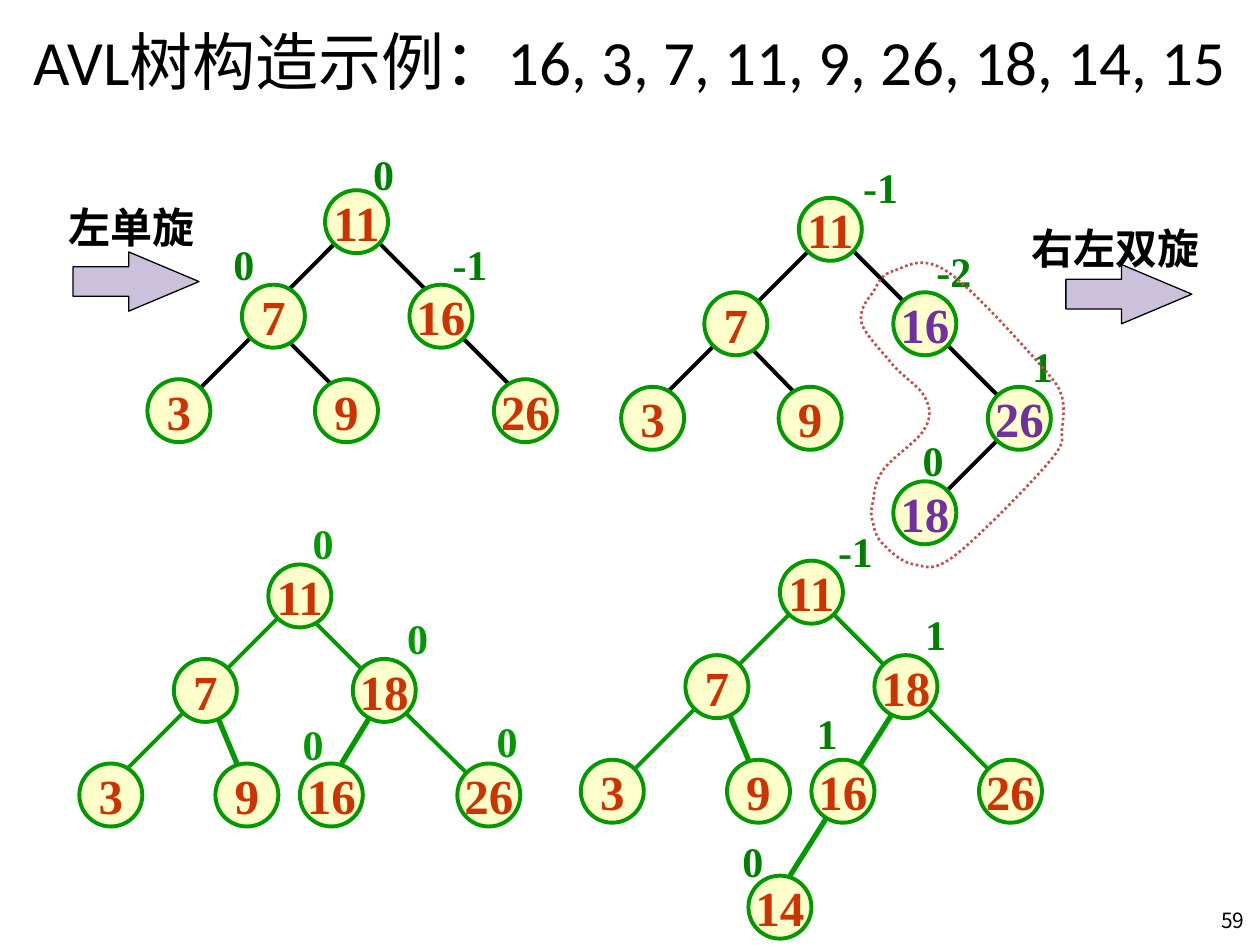
from lxml.etree import SubElement
from pptx import Presentation
from pptx.dml.color import RGBColor as Rgb
from pptx.enum.dml import MSO_LINE as Dash
from pptx.enum.shapes import MSO_CONNECTOR as Conn, MSO_SHAPE as Kind
from pptx.enum.text import MSO_ANCHOR as Anchor, PP_ALIGN as Align
from pptx.oxml.ns import qn
from pptx.util import Pt

PX = 9144  # 100 px to the inch
NODE = 50
SERIF = "Times New Roman"
HEX = {"black": "000000", "green": "009900", "dark": "008000", "cream": "FFFFCC",
       "red": "CC3300", "purple": "7030A0", "lilac": "CCC1DA", "brick": "C0504D"}
COLOR = {name: Rgb.from_string(code) for name, code in HEX.items()}

deck = Presentation()
deck.slide_width, deck.slide_height = 1000 * PX, 750 * PX
slide = deck.slides.add_slide(deck.slide_layouts[6])
shapes = slide.shapes


def write(text, box=None, shape=None, home=shapes, size=24, font=SERIF,
          color="black", bold=True, anchor=Anchor.TOP):
    """Put one centred line into the given shape, or into a new text box."""
    if shape is None:
        shape = home.add_textbox(*[n * PX for n in box])
    frame = shape.text_frame
    frame.word_wrap = False
    frame.vertical_anchor = anchor
    para = frame.paragraphs[0]
    para.alignment = Align.CENTER
    run = para.add_run()
    run.text = text
    run.font.size, run.font.name, run.font.bold = Pt(size), font, bold
    run.font.color.rgb = COLOR[color]


def draw(kind, box, fill, line, width, home=shapes):
    shape = home.add_shape(kind, *[n * PX for n in box])
    shape.shadow.inherit = False
    shape.fill.solid()
    shape.fill.fore_color.rgb = COLOR[fill]
    shape.line.color.rgb = COLOR[line]
    shape.line.width = Pt(width)
    return shape


write("AVL树构造示例：16, 3, 7, 11, 9, 26, 18, 14, 15", (0, -3, 1000, 102),
      size=36, font="Calibri", bold=False, anchor=Anchor.MIDDLE)
write("59", (957, 710, 43, 40), size=12, font="Noto Sans CJK JP", bold=False,
      anchor=Anchor.MIDDLE)
write("右左双旋", (808, 172, 154, 50))
write("左单旋", (44, 155, 121, 50))

# edges: x1, y1, x2, y2, points; nodes and tags: text, left, top
trees = [
    {"line": "green", "tag": "green",
     "edges": [(171, 565, 188, 606, 3), (296, 565, 271, 606, 3),
               (321, 565, 380, 623, 2.25), (246, 490, 296, 540, 2.25),
               (146, 565, 96, 615, 2.25), (221, 490, 180, 531, 2.25)],
     "nodes": [("11", 213, 448), ("7", 138, 523), ("18", 280, 523),
               ("3", 63, 606), ("9", 171, 606), ("16", 238, 606),
               ("26", 363, 606)],
     "tags": [("0", 238, 406), ("0", 313, 481), ("0", 230, 565),
              ("0", 384, 563)]},
    {"line": "black", "tag": "dark",
     "edges": [(292, 184, 342, 234, 2.25), (358, 259, 408, 309, 2.25),
               (200, 267, 158, 309, 2.25), (225, 267, 275, 317, 2.25),
               (267, 192, 225, 234, 2.25)],
     "nodes": [("11", 258, 151), ("7", 192, 226), ("16", 325, 226),
               ("3", 117, 301), ("9", 250, 301), ("26", 392, 301)],
     "tags": [("0", 286, 113), ("0", 175, 184), ("-1", 349, 184)]},
    {"line": "green", "tag": "dark",
     "edges": [(577, 562, 594, 603, 3), (711, 562, 627, 695, 3),
               (661, 487, 719, 545, 2.25), (627, 487, 577, 537, 2.25),
               (561, 553, 486, 628, 2.25), (736, 562, 794, 620, 2.25)],
     "nodes": [("11", 619, 445), ("7", 544, 520), ("18", 694, 520),
               ("3", 461, 603), ("9", 577, 603), ("16", 644, 603),
               ("26", 777, 603), ("14", 594, 695)],
     "tags": [("-1", 655, 412), ("1", 724, 478), ("1", 638, 557),
              ("0", 579, 658)]},
    {"line": "black", "tag": "dark", "turned": ("16", "26", "18"),
     "edges": [(593, 273, 634, 315, 2.25), (576, 265, 526, 315, 2.25),
               (793, 348, 751, 390, 2.25), (676, 198, 718, 240, 2.25),
               (643, 198, 601, 240, 2.25), (751, 273, 793, 315, 2.25)],
     "nodes": [("11", 634, 157), ("7", 559, 232), ("16", 709, 232),
               ("3", 493, 307), ("9", 618, 307), ("26", 784, 307),
               ("18", 709, 382)],
     "tags": [("-1", 675, 123), ("-2", 733, 190), ("1", 809, 265),
              ("0", 722, 340)]},
]

for tree in trees:
    group = shapes.add_group_shape().shapes
    for *ends, width in tree["edges"]:
        edge = group.add_connector(Conn.STRAIGHT, *[n * PX for n in ends])
        edge.line.color.rgb = COLOR[tree["line"]]
        edge.line.width = Pt(width)
        SubElement(edge._element.spPr, qn("a:effectLst"))
    for text, left, top in tree["nodes"]:
        node = draw(Kind.OVAL, (left, top, NODE, NODE), "cream", "green", 2.25,
                    home=group)
        color = "purple" if text in tree.get("turned", ()) else "red"
        write(text, shape=node, size=28, color=color, anchor=Anchor.MIDDLE)
    for text, left, top in tree["tags"]:
        wide = 37 if len(text) == 1 else 48
        write(text, (left, top, wide, 50), home=group, color=tree["tag"])

# The ring belongs to the last tree. Each three points are two controls and
# the end of a cubic curve.
start = (709, 215)
points = [
    (699, 218), (697, 225), (693, 232), (688, 238), (681, 247), (684, 257),
    (687, 266), (701, 280), (709, 290), (718, 300), (730, 307), (734, 315),
    (738, 323), (740, 330), (734, 340), (729, 350), (708, 363), (701, 373),
    (694, 383), (694, 391), (693, 398), (691, 405), (691, 409), (693, 415),
    (694, 420), (695, 426), (701, 432), (706, 437), (716, 447), (726, 448),
    (736, 450), (741, 454), (759, 440), (777, 426), (820, 382), (834, 365),
    (848, 348), (841, 348), (843, 340), (844, 332), (845, 323), (843, 315),
    (840, 307), (841, 307), (826, 290), (811, 273), (770, 227), (751, 215),
    (731, 202), (719, 212), (709, 215),
]
pen = group.build_freeform(*start, scale=PX)
pen.add_line_segments(points, close=True)
ring = pen.convert_to_shape()
lines = list(ring._element.iter(qn("a:lnTo")))
for first in range(0, len(points), 3):
    trio = lines[first:first + 3]
    curve = trio[0].makeelement(qn("a:cubicBezTo"))
    trio[0].addprevious(curve)
    for line in trio:
        curve.append(line[0])
        line.getparent().remove(line)
ring.shadow.inherit = False
ring.fill.background()
ring.line.color.rgb = COLOR["brick"]
ring.line.width = Pt(1.5)
ring.line.dash_style = Dash.ROUND_DOT

for left, top in ((58, 200), (846, 210)):
    arrow = draw(Kind.RIGHT_ARROW, (left, top, 100, 47), "lilac", "black", 0.75)
    arrow.adjustments[1] = 1.186

deck.save("out.pptx")
